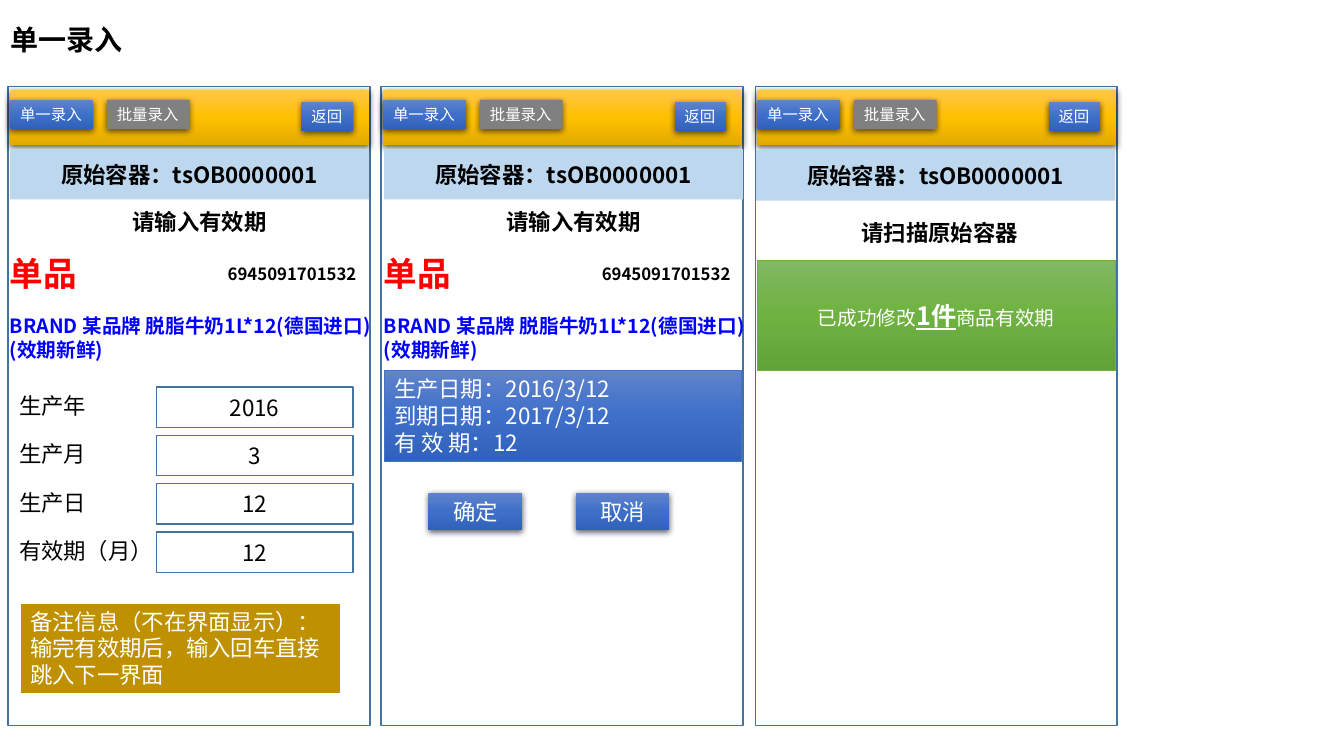
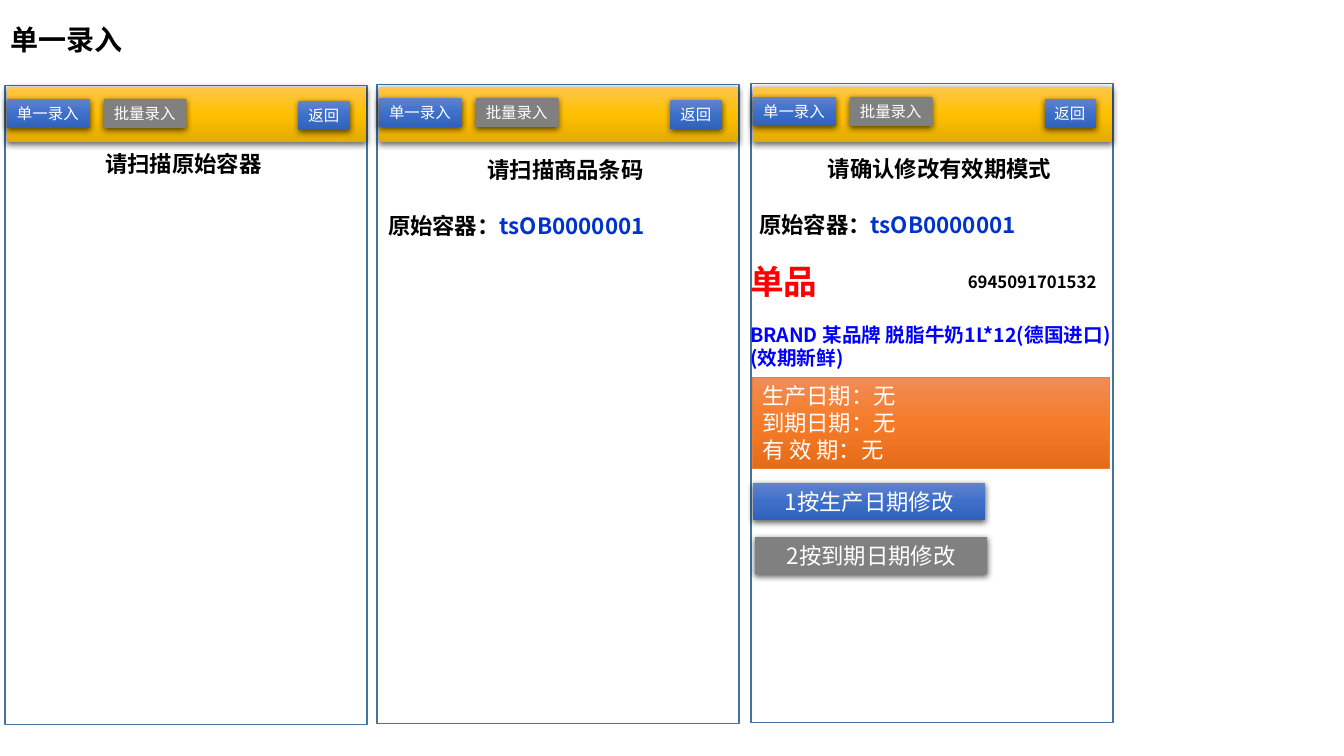
from dataclasses import dataclass, replace
from typing import Optional, Union

from pptx import Presentation
from pptx.dml.color import RGBColor
from pptx.enum.shapes import MSO_SHAPE
from pptx.enum.text import MSO_ANCHOR, MSO_AUTO_SIZE, PP_ALIGN
from pptx.oxml import parse_xml
from pptx.oxml.ns import nsdecls, qn
from pptx.shapes.autoshape import Shape
from pptx.slide import Slide
from pptx.util import Inches, Pt

FONT = "Noto Sans CJK SC"
BLACK, WHITE, RED, GRAY = "000000", "FFFFFF", "FF0000", "808080"
EDGE, PALE, OCHRE = "43739E", "BDD7EE", "BF9000"
NAVY, LINK = "0033CC", "0000FF"
GOLD = ("FFC64B", "FFC000", "E3AB00")
BLUE = ("6183CB", "3E70CA", "3062BB")
GREEN = ("81B861", "6FB242", "62A336")
ORANGE = ("F18C57", "F67B28", "E56C19")

CASE, CODE = "原始容器：", "tsOB0000001"
SCAN = "请扫描原始容器"
DATES = ("生产日期：", "到期日期：", "有 效 期：")


@dataclass(frozen=True)
class Box:
    x: float
    y: float
    w: float
    h: float


@dataclass(frozen=True)
class Look:
    size: int = 16
    color: str = BLACK
    bold: bool = False
    align: PP_ALIGN = PP_ALIGN.LEFT
    anchor: MSO_ANCHOR = MSO_ANCHOR.TOP
    wrap: bool = True


@dataclass(frozen=True)
class Skin:
    fill: Union[str, tuple[str, ...], None] = None
    line: Optional[str] = None
    width: float = 1
    shadow: bool = False


@dataclass(frozen=True)
class Part:
    """A run that may differ from the look of its paragraph."""
    text: str
    color: Optional[str] = None
    size: Optional[int] = None
    strong: bool = False


Line = Union[str, tuple[Part, ...]]

PLAIN = Look()
HEAD = Look(bold=True, align=PP_ALIGN.CENTER)
BAND = replace(HEAD, anchor=MSO_ANCHOR.MIDDLE)
FIELD = replace(BAND, bold=False)
CASING = replace(BAND, align=PP_ALIGN.LEFT)
LABEL = Look(wrap=False)
NOTE = Look(color=WHITE)
PUSH = replace(NOTE, align=PP_ALIGN.CENTER)
TAB = Look(11, WHITE, wrap=False)
DONE = replace(FIELD, size=14, color=WHITE)

PANEL = Skin(WHITE, EDGE)
BAR = Skin(GOLD, shadow=True)
LIVE = Skin(BLUE, shadow=True)
IDLE = Skin(GRAY, shadow=True)


def rgb(code: str) -> RGBColor:
    return RGBColor.from_string(code)


def write(shape: Shape, look: Look, lines: tuple[Line, ...]) -> None:
    frame = shape.text_frame
    frame.auto_size = MSO_AUTO_SIZE.NONE
    frame.word_wrap = look.wrap
    frame.vertical_anchor = look.anchor
    for i, line in enumerate(lines):
        para = frame.add_paragraph() if i else frame.paragraphs[0]
        para.alignment = look.align
        font = para.font
        font.size, font.bold, font.name = Pt(look.size), look.bold, FONT
        font.color.rgb = rgb(look.color)
        latin = para._p.pPr.find(qn("a:defRPr")).find(qn("a:latin"))
        latin.addnext(parse_xml(f'<a:ea {nsdecls("a")} typeface="{FONT}"/>'))
        for part in (Part(line),) if isinstance(line, str) else line:
            run = para.add_run()
            run.text = part.text
            if part.color:
                run.font.color.rgb = rgb(part.color)
            if part.size:
                run.font.size = Pt(part.size)
            if part.strong:
                run.font.bold = run.font.underline = True


def shade(shape: Shape, tones: tuple[str, ...]) -> None:
    """Fill from top to bottom with evenly spaced tones."""
    step = 100000 // (len(tones) - 1)
    stops = "".join(
        f'<a:gs pos="{i * step}"><a:srgbClr val="{tone}"/></a:gs>'
        for i, tone in enumerate(tones))
    shape.fill.background()
    props = shape._element.spPr
    props.replace(props.find(qn("a:noFill")), parse_xml(
        f'<a:gradFill {nsdecls("a")} rotWithShape="1"><a:gsLst>{stops}</a:gsLst>'
        '<a:lin ang="5400000" scaled="0"/></a:gradFill>'))


def block(slide: Slide, box: Box, skin: Skin,
          look: Look = PLAIN, *lines: Line) -> None:
    shape = slide.shapes.add_shape(
        MSO_SHAPE.RECTANGLE,
        Inches(box.x), Inches(box.y), Inches(box.w), Inches(box.h))
    if skin.fill is None:
        shape.fill.background()
    elif isinstance(skin.fill, str):
        shape.fill.solid()
        shape.fill.fore_color.rgb = rgb(skin.fill)
    else:
        shade(shape, skin.fill)
    if skin.line:
        shape.line.color.rgb = rgb(skin.line)
        shape.line.width = Pt(skin.width)
    else:
        shape.line.fill.background()
    shape.shadow.inherit = False
    if skin.shadow:
        shape._element.spPr.find(qn("a:effectLst")).append(parse_xml(
            f'<a:outerShdw {nsdecls("a")} blurRad="57150" dist="19050" '
            'dir="5400000" algn="ctr" rotWithShape="0"><a:srgbClr val="000000">'
            '<a:alpha val="63000"/></a:srgbClr></a:outerShdw>'))
    write(shape, look, lines)


def label(slide: Slide, box: Box, look: Look, *lines: Line) -> None:
    shape = slide.shapes.add_textbox(
        Inches(box.x), Inches(box.y), Inches(box.w), Inches(box.h))
    write(shape, look, lines)


def start(deck: Presentation, text: str) -> Slide:
    slide = deck.slides.add_slide(deck.slide_layouts[5])
    title = slide.shapes.title
    title.left, title.top = Inches(0), Inches(0.22)
    title.width, title.height = Inches(11.5), Inches(0.38)
    title.text_frame.text = text
    title.text_frame.auto_size = MSO_AUTO_SIZE.NONE
    title.text_frame.vertical_anchor = MSO_ANCHOR.MIDDLE
    para = title.text_frame.paragraphs[0]
    para.alignment, para.line_spacing = PP_ALIGN.LEFT, 0.9
    font = para.font
    font.name, font.size, font.bold = "Arial", Pt(20), True
    font.color.rgb = rgb(BLACK)
    return slide


def screen(slide: Slide, x: float, y: float, top: float) -> None:
    """Draw a panel with its bar, whose upper edge is at top, and tabs."""
    block(slide, Box(x, y, 3.59, 6.34), PANEL)
    block(slide, Box(x + 0.02, top, 3.56, 0.55), BAR)
    tabs = ((0.02, 0.13, 0.82, LIVE, "单一录入"),
            (0.98, 0.13, 0.82, IDLE, "批量录入"),
            (2.91, 0.15, 0.51, LIVE, "返回"))
    for dx, dy, wide, skin, text in tabs:
        block(slide, Box(x + dx, y + dy, wide, 0.29), skin, TAB, text)


def head(slide: Slide, x: float, y: float, text: str) -> None:
    label(slide, Box(x, y, 3.56, 0.37), HEAD, text)


def band(slide: Slide, x: float, y: float) -> None:
    block(slide, Box(x, y, 3.56, 0.5), Skin(PALE), BAND, CASE + CODE)


def item(slide: Slide, x: float, y: float) -> None:
    """Show the goods: kind, bar code and name."""
    label(slide, Box(x, y + 0.61, 3.78, 0.57), Look(14, LINK, True),
          "BRAND 某品牌 脱脂牛奶1L*12(德国进口)(效期新鲜)")
    label(slide, Box(x, y, 1.05, 0.5), Look(24, RED, True), "单品")
    label(slide, Box(x + 2.16, y + 0.11, 1.91, 0.3),
          Look(12, bold=True), "6945091701532")


def dates(slide: Slide, x: float, y: float, skin: Skin, *vals: str) -> None:
    block(slide, Box(x, y, 3.54, 0.91), skin, NOTE,
          *(name + val for name, val in zip(DATES, vals)))


def entry(deck: Presentation) -> None:
    slide = start(deck, "单一录入")
    for x in (0.08, 3.78, 7.49):
        screen(slide, x, 0.86, 0.89)
    for x in (0.1, 3.81):
        head(slide, x + 0.1, 2.02, "请输入有效期")
        band(slide, x, 1.48)
        item(slide, x - 0.1, 2.46)

    fields = (("生产年", "2016", 0.88), ("生产月", "3", 0.88),
              ("生产日", "12", 0.88), ("有效期（月）", "12", 1.55))
    for i, (name, val, wide) in enumerate(fields):
        y = 3.84 + 0.48 * i
        label(slide, Box(0.09, y, wide, 0.37), LABEL, name)
        block(slide, Box(1.55, y, 1.95, 0.4), Skin(line=EDGE), FIELD, val)
    block(slide, Box(0.2, 5.98, 3.18, 0.91), Skin(OCHRE, WHITE, 1.5), NOTE,
          "备注信息（不在界面显示）：输完有效期后，输入回车直接跳入下一界面")

    dates(slide, 3.81, 3.67, Skin(BLUE, "4472C4", 0.5),
          "2016/3/12", "2017/3/12", "12")
    for x, text in ((4.25, "确定"), (5.71, "取消")):
        block(slide, Box(x, 4.89, 0.93, 0.37), LIVE, PUSH, text)

    head(slide, 7.54, 2.12, SCAN)
    block(slide, Box(7.51, 2.58, 3.55, 1.09), Skin(GREEN, "70AD47", 0.5), DONE,
          (Part("已成功修改"), Part("1件", size=18, strong=True),
           Part("商品有效期")))
    band(slide, 7.5, 1.49)


def check(deck: Presentation) -> None:
    slide = start(deck, "单一录入")
    for x, y in ((0.05, 0.85), (3.74, 0.84), (7.45, 0.83)):
        screen(slide, x, y, 0.86)
    head(slide, 0.04, 1.44, SCAN)
    head(slide, 3.83, 1.5, "请扫描商品条码")
    head(slide, 7.54, 1.49, "请确认修改有效期模式")
    item(slide, 7.34, 2.54)
    block(slide, Box(7.47, 4.79, 2.3, 0.37), LIVE, PUSH, "1按生产日期修改")
    block(slide, Box(7.49, 5.33, 2.3, 0.37), IDLE, PUSH, "2按到期日期修改")
    dates(slide, 7.46, 3.74, Skin(ORANGE, "ED7D31", 0.5), "无", "无", "无")
    for x, y in ((3.75, 1.99), (7.43, 1.98)):
        label(slide, Box(x, y, 3.59, 0.5), CASING,
              (Part(CASE), Part(CODE, NAVY)))


def main() -> None:
    deck = Presentation()
    deck.slide_width, deck.slide_height = Inches(13.33), Inches(7.5)
    entry(deck)
    check(deck)
    deck.save("out.pptx")


if __name__ == "__main__":
    main()
